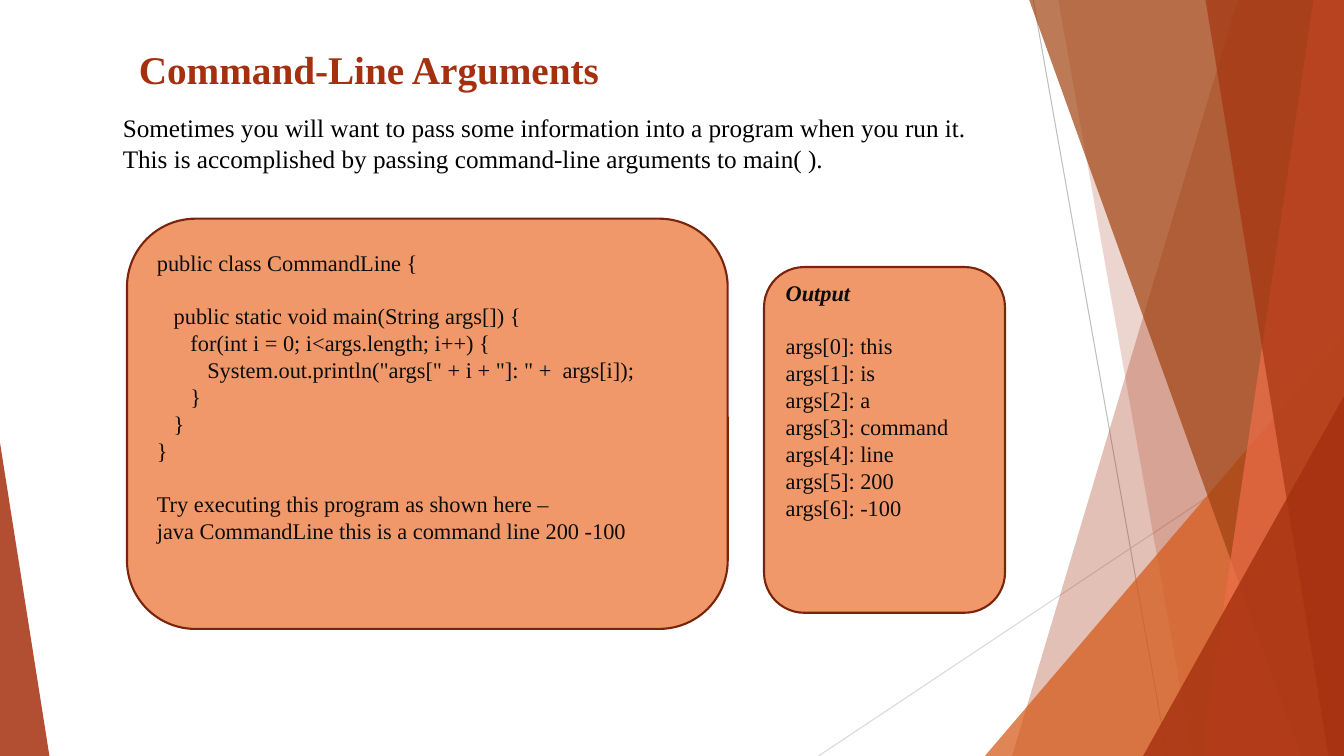
from dataclasses import dataclass

from lxml.etree import SubElement
from pptx import Presentation
from pptx.dml.color import RGBColor
from pptx.enum.shapes import MSO_CONNECTOR as Connector, MSO_SHAPE as Shape
from pptx.enum.text import MSO_ANCHOR as Anchor, PP_ALIGN as Align
from pptx.oxml.ns import qn
from pptx.util import Inches, Pt


@dataclass(frozen=True)
class Theme:
    font: str = "Times New Roman"
    rust: str = "A5300F"
    brown: str = "A04210"
    orange: str = "D55816"
    coral: str = "EE6E4A"
    panel: str = "F09869"
    panel_edge: str = "7A240B"
    ink: str = "000000"
    code_ink: str = "0D0D0D"
    title_size: int = 28
    body_size: int = 18
    code_size: int = 16
    leading: float = 1.2
    indent: int = 12  # points per code level


THEME = Theme()
WIDTH, HEIGHT = Inches(13.333), Inches(7.5)

TITLE = "Command-Line Arguments"
INTRO = ("Sometimes you will want to pass some information into a program when you run it. "
         "This is accomplished by passing command-line arguments to main( ).")

# (indent level, text); each inner list is a block, with one line of space between blocks
PROGRAM = [
    [(0, "public class CommandLine {")],
    [(1, "public static void main(String args[]) {"),
     (2, "for(int i = 0; i<args.length; i++) {"),
     (3, 'System.out.println("args[" + i + "]: " +  args[i]);'),
     (2, "}"),
     (1, "}"),
     (0, "}")],
    [(0, "Try executing this program as shown here –"),
     (0, "java CommandLine this is a command line 200 -100")],
]
ARGUMENTS = ["this", "is", "a", "command", "line", "200", "-100"]
OUTPUT = [
    [(0, "Output")],
    [(0, f"args[{index}]: {value}") for index, value in enumerate(ARGUMENTS)],
]

# All places are percentages of the slide's width and height: left, top, width, height
TITLE_PLACE = (9.6, 5.33, 60.15, 6.8)
INTRO_PLACE = (8.4, 14.27, 66.68, 13.47)
PROGRAM_PLACE = (9.45, 28.93, 44.7, 54.27)
OUTPUT_PLACE = (56.85, 35.33, 17.93, 45.73)

RAYS = [  # start x, y, end x, y, colour
    (76.88, 0, 86.85, 100, "BFBFBF"),
    (100, 53.73, 60.9, 100, "D9D9D9"),
]


def band(top_x, bottom_x):
    """Full-height facet reaching to the slide's right edge."""
    return [(top_x, 0), (100, 0), (100, 100), (bottom_x, 100)]


def corner(side_x, base_x, apex_y):
    """Triangle standing on the slide's bottom edge, upright at side_x."""
    return [(side_x, apex_y), (side_x, 100), (base_x, 100)]


FACETS = [  # corners, colour, opacity in percent
    (band(92.1, 75.3), THEME.rust, 30),
    (band(78.75, 88.73), THEME.rust, 20),
    (corner(100, 73.28, 44.4), THEME.orange, 72),
    (band(76.58, 96.83), THEME.brown, 70),
    (band(97.73, 89.4), THEME.coral, 70),
    (band(89.7, 98.85), THEME.rust, 65),
    (corner(100, 85.05, 52.4), THEME.rust, 80),
    (corner(0, 3.68, 58.53), THEME.rust, 85),
]


def across(percent):
    return round(WIDTH * percent / 100)


def down(percent):
    return round(HEIGHT * percent / 100)


def emu(place):
    left, top, width, height = place
    return across(left), down(top), across(width), down(height)


def paint(shape, colour, opacity=100):
    shape.shadow.inherit = False
    shape.fill.solid()
    shape.fill.fore_color.rgb = RGBColor.from_string(colour)
    if opacity < 100:
        rgb = shape.fill._xPr.find(qn("a:solidFill")).find(qn("a:srgbClr"))
        SubElement(rgb, qn("a:alpha")).set("val", str(opacity * 1000))


def add_ray(shapes, x1, y1, x2, y2, colour):
    ray = shapes.add_connector(Connector.STRAIGHT, across(x1), down(y1), across(x2), down(y2))
    ray.line.color.rgb = RGBColor.from_string(colour)
    ray.line.width = Pt(0.75)
    SubElement(ray._element.spPr, qn("a:effectLst"))


def add_facet(shapes, corners, colour, opacity):
    points = [(across(x), down(y)) for x, y in corners]
    builder = shapes.build_freeform(*points[0])
    builder.add_line_segments(points[1:], close=True)
    facet = builder.convert_to_shape()
    paint(facet, colour, opacity)
    facet.line.fill.background()


def style(paragraph, size, colour, bold=False, italic=False):
    paragraph.alignment = Align.LEFT
    paragraph.line_spacing = Pt(size * THEME.leading)
    for run in paragraph.runs:
        font = run.font
        font.name, font.size = THEME.font, Pt(size)
        font.bold, font.italic = bold, italic
        font.color.rgb = RGBColor.from_string(colour)


def add_text(shapes, place, text, size, colour, bold=False):
    frame = shapes.add_textbox(*emu(place)).text_frame
    frame.word_wrap = True
    frame.text = text
    style(frame.paragraphs[0], size, colour, bold)


def add_panel(shapes, place, blocks, top_margin, heading=False):
    panel = shapes.add_shape(Shape.ROUNDED_RECTANGLE, *emu(place))
    paint(panel, THEME.panel)
    panel.line.color.rgb = RGBColor.from_string(THEME.panel_edge)
    panel.line.width = Pt(1.5)

    frame = panel.text_frame
    frame.word_wrap = True
    frame.vertical_anchor = Anchor.TOP
    frame.margin_top = Inches(top_margin)
    lines = [(level, text, number > 0 and position == 0)
             for number, block in enumerate(blocks)
             for position, (level, text) in enumerate(block)]
    frame.text = "\n".join(text for _, text, _ in lines)
    for row, (paragraph, (level, _, opens_block)) in enumerate(zip(frame.paragraphs, lines)):
        is_heading = heading and row == 0
        style(paragraph, THEME.code_size, THEME.code_ink, is_heading, is_heading)
        paragraph._p.get_or_add_pPr().set("marL", str(Pt(level * THEME.indent)))
        if opens_block:
            paragraph.space_before = Pt(THEME.code_size * THEME.leading)


def main():
    deck = Presentation()
    deck.slide_width, deck.slide_height = WIDTH, HEIGHT
    shapes = deck.slides.add_slide(deck.slide_layouts[6]).shapes

    for ray in RAYS:
        add_ray(shapes, *ray)
    for facet in FACETS:
        add_facet(shapes, *facet)

    add_text(shapes, TITLE_PLACE, TITLE, THEME.title_size, THEME.rust, bold=True)
    add_text(shapes, INTRO_PLACE, INTRO, THEME.body_size, THEME.ink)
    add_panel(shapes, PROGRAM_PLACE, PROGRAM, top_margin=0.1)
    add_panel(shapes, OUTPUT_PLACE, OUTPUT, top_margin=0, heading=True)

    deck.save("out.pptx")


if __name__ == "__main__":
    main()
